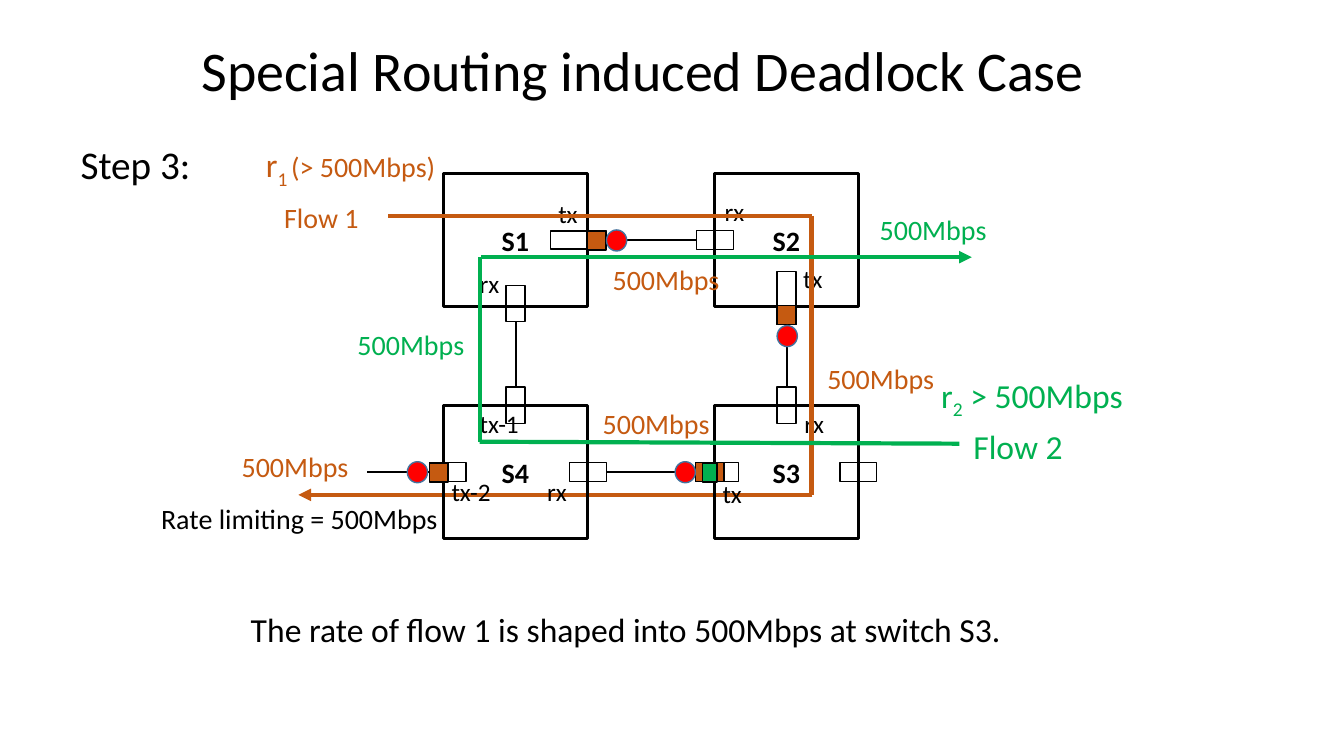
from dataclasses import dataclass

from lxml.etree import SubElement
from pptx import Presentation
from pptx.dml.color import RGBColor
from pptx.enum.shapes import MSO_CONNECTOR, MSO_SHAPE
from pptx.enum.text import MSO_ANCHOR, MSO_AUTO_SIZE, PP_ALIGN
from pptx.oxml.ns import qn
from pptx.util import Cm, Pt


@dataclass(frozen=True)
class Theme:
    font: str = "Calibri"
    black: str = "000000"
    flow1: str = "C55A11"
    flow2: str = "00B050"
    pause: str = "FF0000"
    pause_edge: str = "43739E"
    title: int = 40
    step: int = 28
    body: int = 24
    label: int = 20
    port: int = 18


THEME = Theme()
LEFT, RIGHT = 12.99, 19.82  # switch column centres
TOP, BOTTOM = 6.05, 11.89  # switch row centres
SWITCH = (3.63, 3.35)
ACROSS, UPRIGHT = (0.92, 0.48), (0.48, 0.92)  # port sizes


def style(paragraph, size, color, bold=False):
    font = paragraph.font
    font.name, font.size, font.bold = THEME.font, Pt(size), bold
    font.color.rgb = RGBColor.from_string(color)


def centred_shape(slide, kind, center, size, fill=None, edge=THEME.black, weight=1):
    (x, y), (width, height) = center, size
    shape = slide.shapes.add_shape(
        kind, Cm(x - width / 2), Cm(y - height / 2), Cm(width), Cm(height))
    shape.shadow.inherit = False
    if fill:
        shape.fill.solid()
        shape.fill.fore_color.rgb = RGBColor.from_string(fill)
    else:
        shape.fill.background()
    shape.line.color.rgb = RGBColor.from_string(edge)
    shape.line.width = Pt(weight)
    return shape


def box(slide, center, size, fill=None):
    return centred_shape(slide, MSO_SHAPE.RECTANGLE, center, size, fill)


def switch(slide, name, center):
    body = centred_shape(slide, MSO_SHAPE.RECTANGLE, center, SWITCH, weight=2.25)
    body.text_frame.vertical_anchor = MSO_ANCHOR.MIDDLE
    caption = body.text_frame.paragraphs[0]
    caption.text = name
    caption.alignment = PP_ALIGN.CENTER
    style(caption, THEME.label, THEME.black, bold=True)


def line(slide, start, end, color=THEME.black, weight=1.5, arrow=False):
    connector = slide.shapes.add_connector(
        MSO_CONNECTOR.STRAIGHT, *(Cm(v) for v in (*start, *end)))
    connector.line.color.rgb = RGBColor.from_string(color)
    connector.line.width = Pt(weight)
    if arrow:
        SubElement(connector.line._get_or_add_ln(), qn("a:tailEnd"), type="triangle")
    SubElement(connector._element.spPr, qn("a:effectLst"))


def text(slide, content, at, size, color=THEME.black, wrap=False):
    """Add a text box and return its paragraph, so runs can follow."""
    frame = slide.shapes.add_textbox(*(Cm(v) for v in at)).text_frame
    frame.word_wrap = wrap
    frame.auto_size = MSO_AUTO_SIZE.SHAPE_TO_FIT_TEXT
    paragraph = frame.paragraphs[0]
    paragraph.text = content
    style(paragraph, size, color)
    return paragraph


def rate(slide, x, y, color):
    text(slide, "500Mbps", (x, y, 3.23, 1.12), THEME.label, color)


def add_run(paragraph, content, size, subscript=False):
    run = paragraph.add_run()
    run.text = content
    run.font.size = Pt(size)
    if subscript:
        run._r.get_or_add_rPr().set("baseline", "-25000")


def draw_switches(slide):
    for name, center in (("S1", (LEFT, TOP)), ("S2", (RIGHT, TOP)),
                         ("S3", (RIGHT, BOTTOM)), ("S4", (LEFT, BOTTOM))):
        switch(slide, name, center)

    # Ports
    for center in ((18.02, TOP), (14.82, BOTTOM), (11.29, BOTTOM), (21.63, BOTTOM)):
        box(slide, center, ACROSS)
    for center in ((LEFT, 7.65), (LEFT, 10.21), (RIGHT, 10.21)):
        box(slide, center, UPRIGHT)
    box(slide, (14.58, TOP), (1.4, 0.46))
    box(slide, (RIGHT, 7.51), (0.48, 1.35))
    box(slide, (18.07, BOTTOM), (1.09, 0.48))

    # Port names
    for name, x, y in (
            ("rx", 11.84, 6.63), ("tx", 13.82, 4.88), ("rx", 18.01, 4.83),
            ("rx", 20.02, 10.16), ("rx", 13.54, 11.89), ("tx", 19.99, 6.5),
            ("tx-1", 11.84, 10.16), ("tx", 17.96, 11.94), ("tx-2", 11.13, 11.89)):
        width = 1.52 if "-" in name else 1.0
        text(slide, name, (x, y, width, 1.02), THEME.port)


def draw_flows(slide):
    line(slide, (9.78, 5.44), (20.47, 5.44), THEME.flow1, 3)
    line(slide, (20.45, 5.44), (20.45, 12.47), THEME.flow1, 3)
    line(slide, (24.18, 11.18), (12.09, 11.13), THEME.flow2, 3)
    line(slide, (12.09, 6.48), (12.09, 11.13), THEME.flow2, 3)
    line(slide, (12.12, 6.48), (24.49, 6.48), THEME.flow2, 3, arrow=True)


def draw_queues_and_links(slide):
    # Links between switches
    for y in (TOP, BOTTOM):
        line(slide, (15.29, y), (17.55, y))
    line(slide, (19.84, 9.75), (19.84, 8.18))
    line(slide, (13.0, 9.75), (13.0, 8.1))
    line(slide, (9.25, BOTTOM), (10.82, BOTTOM))

    # Queued packets
    for center, size, color in (
            ((RIGHT, 7.94), (0.48, 0.48), THEME.flow1),
            ((15.04, 6.07), (0.46, 0.46), THEME.flow1),
            ((17.89, BOTTOM), (0.71, 0.48), THEME.flow1),
            ((17.89, 11.91), (0.36, 0.48), THEME.flow2),
            ((11.06, 11.91), (0.46, 0.48), THEME.flow1)):
        box(slide, center, size, color)

    # Pause marks
    for center in ((17.27, 11.9), (19.84, 8.47), (15.54, 6.06), (10.52, 11.9)):
        centred_shape(slide, MSO_SHAPE.OVAL, center, (0.51, 0.53),
                      THEME.pause, THEME.pause_edge)


def draw_labels(slide):
    # Rates along each flow
    for x, y in ((8.76, 8.13), (21.92, 5.23)):
        rate(slide, x, y, THEME.flow2)
    for x, y in ((14.94, 10.13), (20.6, 8.99), (15.19, 6.48), (5.84, 11.2)):
        rate(slide, x, y, THEME.flow1)
    text(slide, "Rate limiting = 500Mbps", (3.81, 12.5, 7.57, 1.12), THEME.label)

    # Flow names and input rates
    text(slide, "Flow 1", (6.91, 4.93, 2.41, 1.12), THEME.label, THEME.flow1)
    text(slide, "Flow 2", (24.28, 10.62, 2.77, 1.27), THEME.body, THEME.flow2)
    r1 = text(slide, "r", (6.45, 3.51, 4.88, 1.27), THEME.body, THEME.flow1)
    add_run(r1, "1", THEME.body, subscript=True)
    add_run(r1, " ", THEME.label, subscript=True)
    add_run(r1, "(> 500Mbps)", THEME.label)
    r2 = text(slide, "r", (23.47, 9.32, 5.16, 1.27), THEME.body, THEME.flow2)
    add_run(r2, "2", THEME.body, subscript=True)
    add_run(r2, " > 500Mbps", THEME.body)


def main():
    deck = Presentation()
    deck.slide_width, deck.slide_height = Cm(33.87), Cm(19.05)
    slide = deck.slides.add_slide(deck.slide_layouts[6])

    # Heading
    title = text(slide, "Special Routing induced Deadlock Case ",
                 (1.6, 0.76, 29.51, 1.96), THEME.title, wrap=True)
    title.alignment = PP_ALIGN.CENTER
    text(slide, "Step 3:", (1.78, 3.4, 3.56, 1.45), THEME.step)

    # Diagram, with the exit of flow 1 behind the switches
    line(slide, (20.47, 12.47), (7.52, 12.47), THEME.flow1, 3, arrow=True)
    draw_switches(slide)
    draw_flows(slide)
    draw_queues_and_links(slide)
    draw_labels(slide)

    # Conclusion
    text(slide, "The rate of flow 1 is shaped into 500Mbps at switch S3.",
         (6.07, 15.21, 21.18, 1.27), THEME.body, wrap=True)

    deck.save("out.pptx")


if __name__ == "__main__":
    main()
